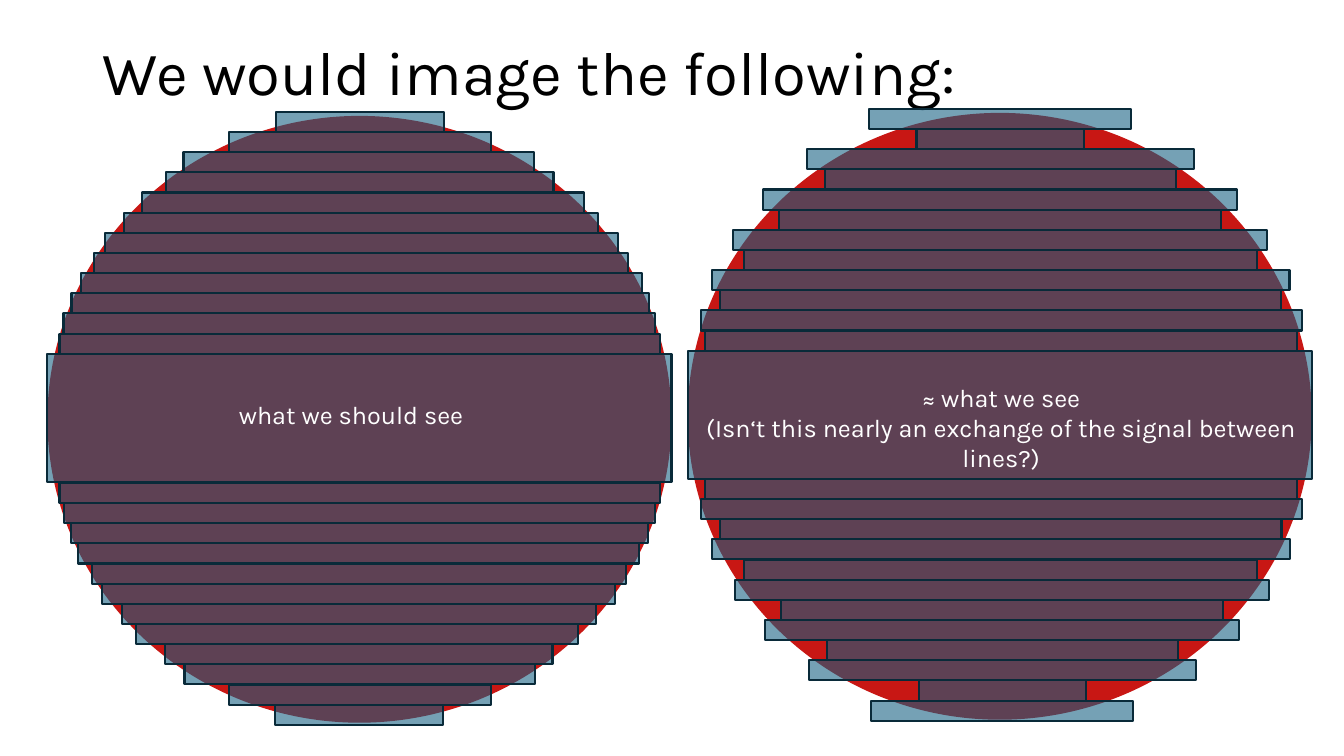
"""Builds a slide comparing two discs scanned in horizontal strips."""
from dataclasses import dataclass
from typing import Any

import lxml.etree
import pptx
import pptx.dml.color
import pptx.enum.shapes
import pptx.enum.text
import pptx.oxml.ns
import pptx.util

Inches = pptx.util.Inches
Align = pptx.enum.text.PP_ALIGN
Anchor = pptx.enum.text.MSO_ANCHOR
AutoSize = pptx.enum.text.MSO_AUTO_SIZE
Preset = pptx.enum.shapes.MSO_SHAPE

COLORS = {"title": "000000", "label": "FFFFFF", "disc": "C81714",
          "strip": "156082", "outline": "092A39"}
FONT = "Karla"
STRIP_OPACITY = 59
STRIP_HEIGHT = 0.2
DISC_WIDTH, DISC_HEIGHT = 6.19, 6.02
BAND_OFFSET, BAND_HEIGHT = 2.36, 1.27
STRIP_WIDTHS = (5.96, 5.87, 5.73, 5.57, 5.3, 5.09, 4.7, 4.38, 3.84, 3.48, 2.6, 1.66)


@dataclass(frozen=True)
class Half:
    """Strips stacked outwards from the middle band, up or down."""
    first_top: float
    step: float
    lefts: tuple[float, ...]
    swapped: bool = False
    rotation: int = 0


LEFT_UPPER = Half(3.31, -STRIP_HEIGHT,
                  (0.59, 0.63, 0.71, 0.8, 0.93, 1.04, 1.23, 1.41, 1.65, 1.82, 2.27, 2.74))
LEFT_LOWER = Half(4.79, STRIP_HEIGHT,
                  (0.59, 0.63, 0.7, 0.77, 0.91, 1.01, 1.21, 1.35, 1.64, 1.83, 2.27, 2.73),
                  rotation=180)
RIGHT_UPPER = Half(3.28, -STRIP_HEIGHT,
                   (6.95, 6.99, 7.06, 7.14, 7.27, 7.38, 7.57, 7.73, 8, 8.18, 8.62, 9.09),
                   swapped=True)
RIGHT_LOWER = Half(4.75, STRIP_HEIGHT,
                   (6.95, 6.99, 7.06, 7.14, 7.29, 7.38, 7.59, 7.75, 8.02, 8.2, 8.64, 9.11),
                   swapped=True, rotation=180)


def rgb(name: str) -> pptx.dml.color.RGBColor:
    """Return the named colour."""
    return pptx.dml.color.RGBColor.from_string(COLORS[name])


def write_text(shape: Any, *lines: str, size: float, color: str, align: Align = Align.LEFT,
               anchor: Anchor = Anchor.TOP, auto_size: AutoSize = AutoSize.NONE,
               line_spacing: float = 1.0) -> None:
    """Fill a shape with formatted paragraphs."""
    frame = shape.text_frame
    frame.text = "\n".join(lines)
    frame.word_wrap = True
    frame.auto_size = auto_size
    frame.vertical_anchor = anchor
    for paragraph in frame.paragraphs:
        paragraph.alignment = align
        paragraph.line_spacing = line_spacing
        for run in paragraph.runs:
            run.font.name = FONT
            run.font.size = pptx.util.Pt(size)
            run.font.color.rgb = rgb(color)


def add_filled(container: Any, preset: Preset, left: float, top: float, width: float,
               height: float, color: str) -> Any:
    """Add a flat preset shape without a line."""
    shape = container.add_shape(preset, Inches(left), Inches(top), Inches(width), Inches(height))
    shape.shadow.inherit = False
    shape.fill.solid()
    shape.fill.fore_color.rgb = rgb(color)
    shape.line.fill.background()
    return shape


def add_strip(container: Any, left: float, top: float, width: float,
              height: float = STRIP_HEIGHT, rotation: int = 0) -> None:
    """Add one translucent outlined strip."""
    shape = add_filled(container, Preset.RECTANGLE, left, top, width, height, "strip")
    shape.rotation = rotation
    shape.line.color.rgb = rgb("outline")
    shape.line.width = pptx.util.Pt(1.5)
    fill_color = shape.element.spPr.find(pptx.oxml.ns.qn("a:solidFill"))[0]
    alpha = lxml.etree.SubElement(fill_color, pptx.oxml.ns.qn("a:alpha"))
    alpha.set("val", str(STRIP_OPACITY * 1000))


def add_half(container: Any, half: Half) -> None:
    """Add the strips of one half, exchanging neighbours when swapped."""
    for index, (left, width) in enumerate(zip(half.lefts, STRIP_WIDTHS)):
        slot = index ^ 1 if half.swapped else index
        add_strip(container, left, half.first_top + slot * half.step, width,
                  rotation=half.rotation)


def add_disc(container: Any, left: float, top: float) -> None:
    """Add a disc and its middle band."""
    add_filled(container, Preset.OVAL, left, top, DISC_WIDTH, DISC_HEIGHT, "disc")
    add_strip(container, left, top + BAND_OFFSET, DISC_WIDTH, BAND_HEIGHT)


def add_label(container: Any, left: float, top: float, width: float, height: float,
              *lines: str, align: Align = Align.LEFT) -> None:
    """Add a label on a middle band."""
    box = container.add_textbox(Inches(left), Inches(top), Inches(width), Inches(height))
    write_text(box, *lines, size=18, color="label", align=align,
               auto_size=AutoSize.SHAPE_TO_FIT_TEXT)


def main() -> None:
    """Build and save the slide."""
    presentation = pptx.Presentation()
    presentation.slide_width, presentation.slide_height = Inches(13.33), Inches(7.5)
    slide = presentation.slides.add_slide(presentation.slide_layouts[5])

    title = slide.shapes.title
    title.left, title.top = Inches(0.92), Inches(0.02)
    title.width, title.height = Inches(11.5), Inches(1.45)
    write_text(title, "We would image the following:", size=44, color="title",
               anchor=Anchor.MIDDLE, line_spacing=0.9)

    expected = slide.shapes.add_group_shape().shapes
    add_disc(expected, 0.47, 1.15)
    add_half(expected, LEFT_UPPER)
    add_label(expected, 2.27, 3.91, 3.06, 0.51, "what we should see")
    add_half(expected, LEFT_LOWER)

    add_disc(slide.shapes, 6.82, 1.12)
    add_half(slide.shapes, RIGHT_UPPER)
    add_label(slide.shapes, 6.7, 3.74, 6.46, 0.71, "≈ what we see",
              "(Isn‘t this nearly an exchange of the signal between lines?)",
              align=Align.CENTER)
    add_half(slide.shapes.add_group_shape().shapes, RIGHT_LOWER)

    presentation.save("out.pptx")


if __name__ == "__main__":
    main()
